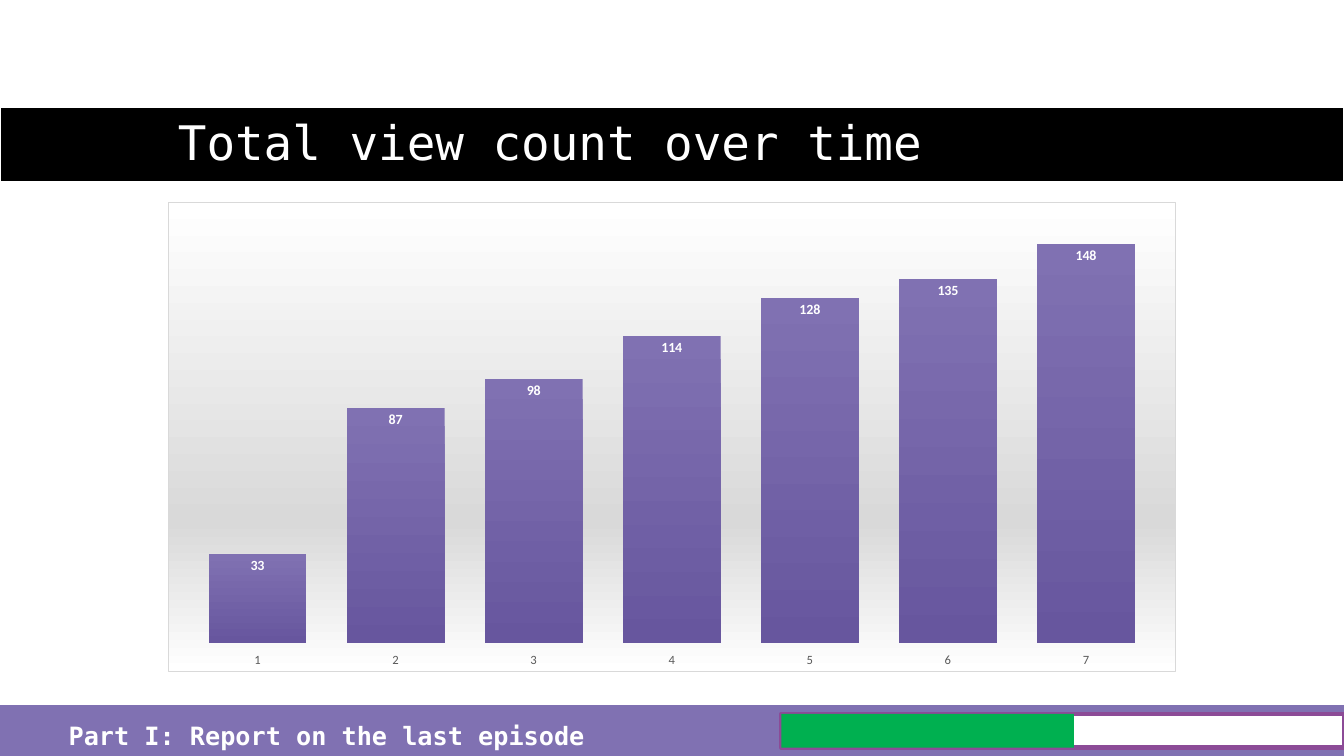
from dataclasses import dataclass

from lxml.etree import fromstring
from pptx import Presentation
from pptx.chart.data import CategoryChartData
from pptx.dml.color import RGBColor
from pptx.enum.chart import XL_CHART_TYPE as Chart, XL_LABEL_POSITION as LabelPos
from pptx.enum.chart import XL_TICK_LABEL_POSITION as TickPos, XL_TICK_MARK as Tick
from pptx.enum.shapes import MSO_SHAPE as Shape
from pptx.enum.text import MSO_ANCHOR as Anchor, MSO_AUTO_SIZE as AutoSize, PP_ALIGN as Align
from pptx.util import Cm, Pt

NS = ('xmlns:c="http://schemas.openxmlformats.org/drawingml/2006/chart" '
      'xmlns:a="http://schemas.openxmlformats.org/drawingml/2006/main"')


@dataclass(frozen=True)
class Theme:
    """Colours, fonts and type sizes of the slide."""
    white: str = "FFFFFF"
    black: str = "000000"
    purple: str = "8071B2"
    deep_purple: str = "67569E"
    frame: str = "8C4B97"
    green: str = "00B050"
    grey: str = "D9D9D9"
    axis_text: str = "595959"
    mono: str = "DejaVu Sans Mono"
    sans: str = "Calibri"
    title: float = 34
    footer: float = 18
    label: float = 10
    axis: float = 9


THEME = Theme()


def rgb(value):
    """Turn a hex string into a colour."""
    return RGBColor.from_string(value)


def set_font(font, name, size, color, bold=False):
    """Apply one set of format values to a font."""
    for key, value in {"name": name, "size": Pt(size), "bold": bold}.items():
        setattr(font, key, value)
    font.color.rgb = rgb(color)


def add_rect(slide, box, fill, line=None, width=1):
    """Draw a flat rectangle, outlined if a line colour is given."""
    sp = slide.shapes.add_shape(Shape.RECTANGLE, *map(Cm, box))
    sp.shadow.inherit = False
    sp.fill.solid()
    sp.fill.fore_color.rgb = rgb(fill)
    if line:
        sp.line.color.rgb = rgb(line)
        sp.line.width = Pt(width)
    else:
        sp.line.fill.background()
    return sp


def add_header(slide, box, text):
    """Place the black band and the title resting in it."""
    x, y, w, h = box
    band = add_rect(slide, box, THEME.black, THEME.white, 1.5)
    title = slide.shapes.title
    title.element.addprevious(band.element)
    frame = {"left": x + 4.23, "top": y - 1.42, "width": 25.4, "height": h + 1.27}
    for key, value in frame.items():
        setattr(title, key, Cm(value))
    tf = title.text_frame
    tf.text = text
    for key, value in {"vertical_anchor": Anchor.BOTTOM, "auto_size": AutoSize.NONE,
                       "word_wrap": True}.items():
        setattr(tf, key, value)
    p = tf.paragraphs[0]
    p.alignment, p.line_spacing = Align.LEFT, 0.9
    set_font(p.runs[0].font, THEME.mono, THEME.title, THEME.white)


def add_footer(slide, box, text, progress):
    """Place the footer band with its section name and progress bar."""
    x, y, w, h = box
    add_rect(slide, box, THEME.purple, THEME.purple)
    tb = slide.shapes.add_textbox(Cm(x + 1.48), Cm(y + 0.25), Cm(13.77), Cm(1.02))
    tf = tb.text_frame
    tf.word_wrap = True
    tf.text = text
    set_font(tf.paragraphs[0].runs[0].font, THEME.mono, THEME.footer, THEME.white, True)
    bar_w, bar_h = 14.18, 0.85
    left, top = x + w - bar_w, y + 0.21
    add_rect(slide, (left, top, bar_w, bar_h), THEME.white, THEME.frame, 3)
    add_rect(slide, (left, top, bar_w * progress, bar_h), THEME.green)


def style_chart_area(chart):
    """Give the chart its gradient ground, border and plot position."""
    stops = "".join(
        f'<a:gs pos="{pos * 1000}"><a:srgbClr val="{color}"/></a:gs>'
        for pos, color in ((0, THEME.white), (68, THEME.grey), (100, THEME.white)))
    area = fromstring(
        f'<c:spPr {NS}><a:gradFill><a:gsLst>{stops}</a:gsLst><a:lin ang="5400000" scaled="0"/>'
        f'</a:gradFill><a:ln w="{Pt(0.75)}"><a:solidFill><a:srgbClr val="{THEME.grey}"/>'
        '</a:solidFill></a:ln></c:spPr>')
    chart.element.find("{*}chart").addnext(area)
    plot_box = {"x": 0.02, "y": 0.02, "w": 0.96, "h": 0.92}
    places = "".join(f'<c:{key}Mode val="edge"/>' for key in "xy")
    places += "".join(f'<c:{key} val="{value}"/>' for key, value in plot_box.items())
    layout = fromstring(f'<c:layout {NS}><c:manualLayout><c:layoutTarget val="inner"/>'
                        f'{places}</c:manualLayout></c:layout>')
    plot_area = chart.element.find(".//{*}plotArea")
    for old in plot_area.findall("{*}layout"):
        plot_area.remove(old)
    plot_area.insert(0, layout)


def add_view_chart(slide, box, views):
    """Draw the column chart of views per episode."""
    data = CategoryChartData()
    data.categories = [str(i) for i in range(1, len(views) + 1)]
    data.add_series("Series 1", views)
    chart = slide.shapes.add_chart(Chart.COLUMN_CLUSTERED, *map(Cm, box), data).chart
    chart.has_title = chart.has_legend = False
    set_font(chart.font, THEME.sans, THEME.label, THEME.black)
    style_chart_area(chart)

    plot = chart.plots[0]
    plot.gap_width, plot.vary_by_categories = 41, False
    fill = plot.series[0].format.fill
    fill.gradient()
    fill.gradient_angle = 270
    for stop, color in zip(fill.gradient_stops, (THEME.purple, THEME.deep_purple)):
        stop.color.rgb = rgb(color)
    plot.has_data_labels = True
    labels = plot.data_labels
    labels.show_value, labels.position = True, LabelPos.INSIDE_END
    set_font(labels.font, THEME.sans, THEME.label, THEME.white, True)

    cat, val = chart.category_axis, chart.value_axis
    cat.major_tick_mark, cat.tick_label_position = Tick.NONE, TickPos.LOW
    cat.format.line.fill.background()
    set_font(cat.tick_labels.font, THEME.sans, THEME.axis, THEME.axis_text)
    for key, value in {"visible": False, "has_major_gridlines": False,
                       "minimum_scale": 0, "maximum_scale": 160}.items():
        setattr(val, key, value)


def main():
    """Build the slide and save it."""
    prs = Presentation()
    prs.slide_width, prs.slide_height = Cm(33.87), Cm(19.05)
    slide = prs.slides.add_slide(prs.slide_layouts[5])
    add_header(slide, (0, 2.69, 33.87, 1.9), "Total view count over time")
    add_footer(slide, (0, 17.78, 33.87, 1.27), "Part I: Report on the last episode", 0.52)
    add_view_chart(slide, (4.23, 5.08, 25.4, 11.85), (33, 87, 98, 114, 128, 135, 148))
    prs.save("out.pptx")


if __name__ == "__main__":
    main()
